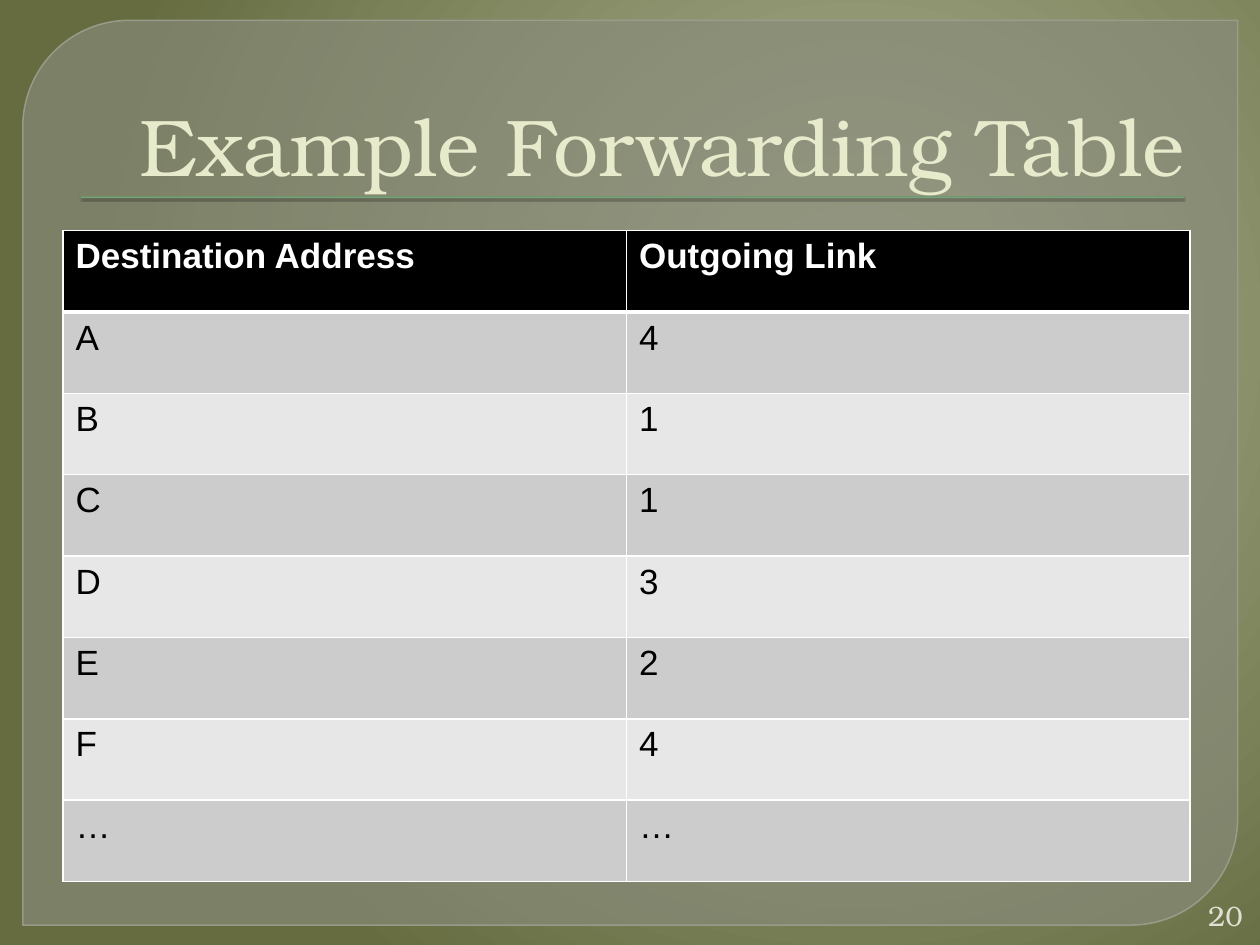
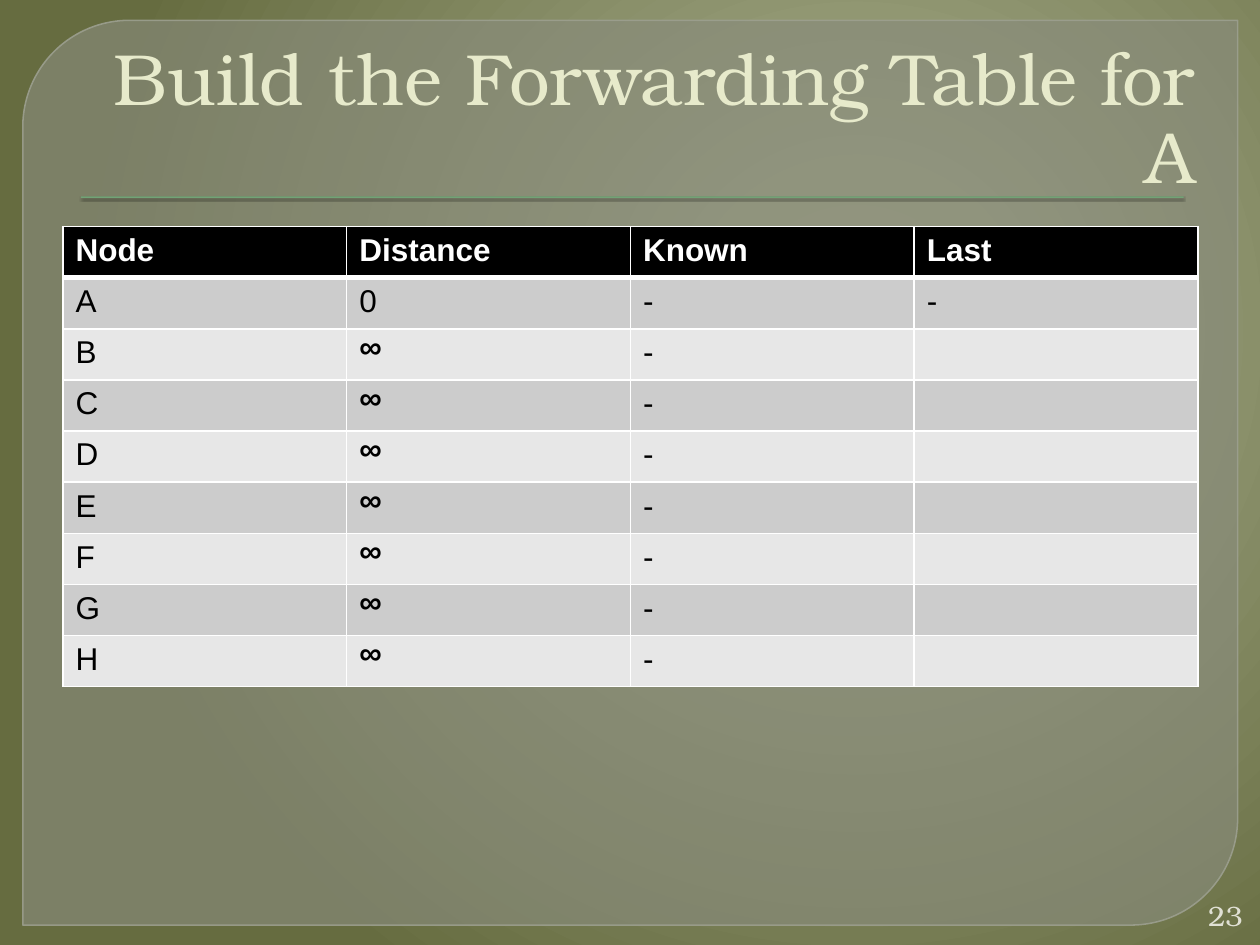
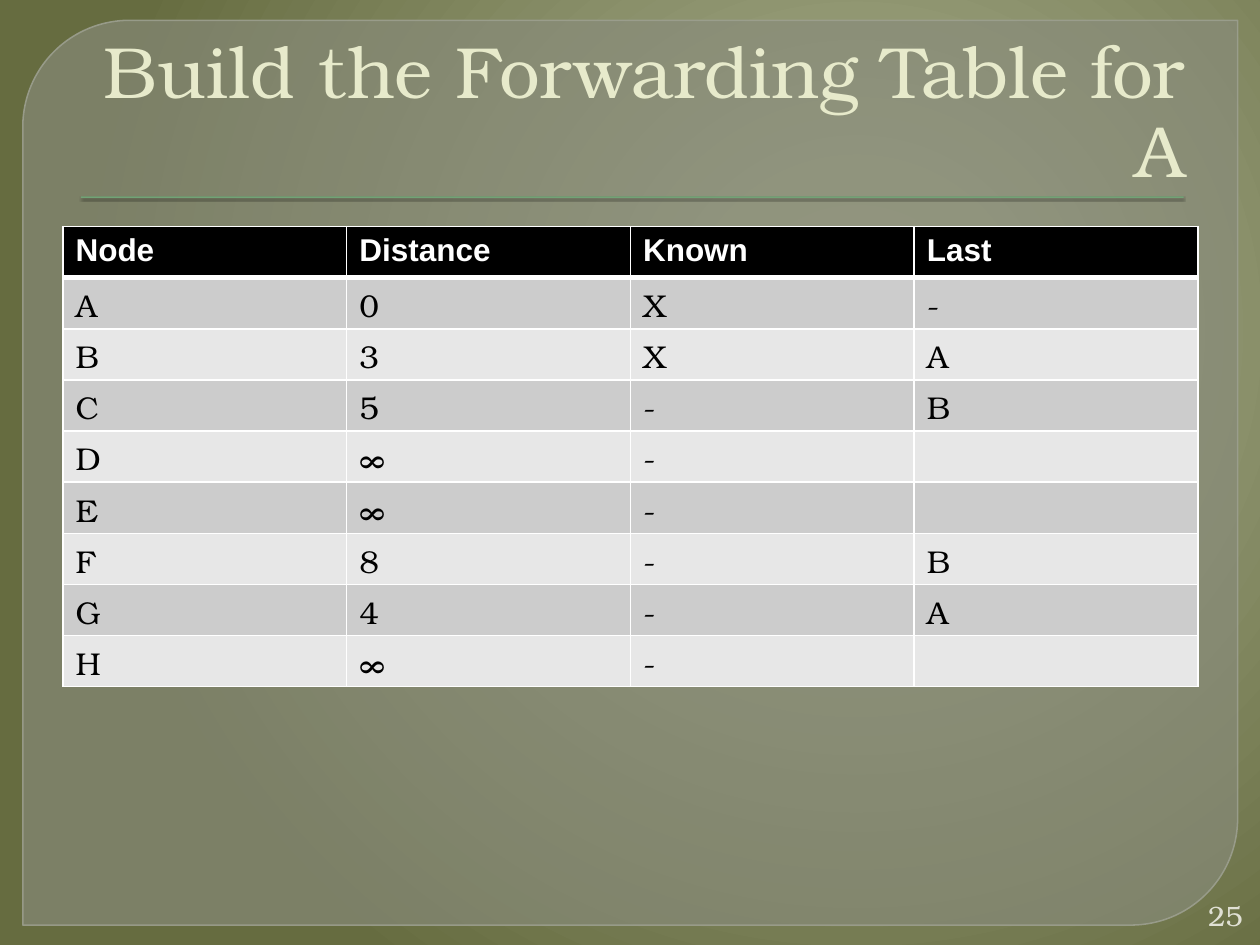
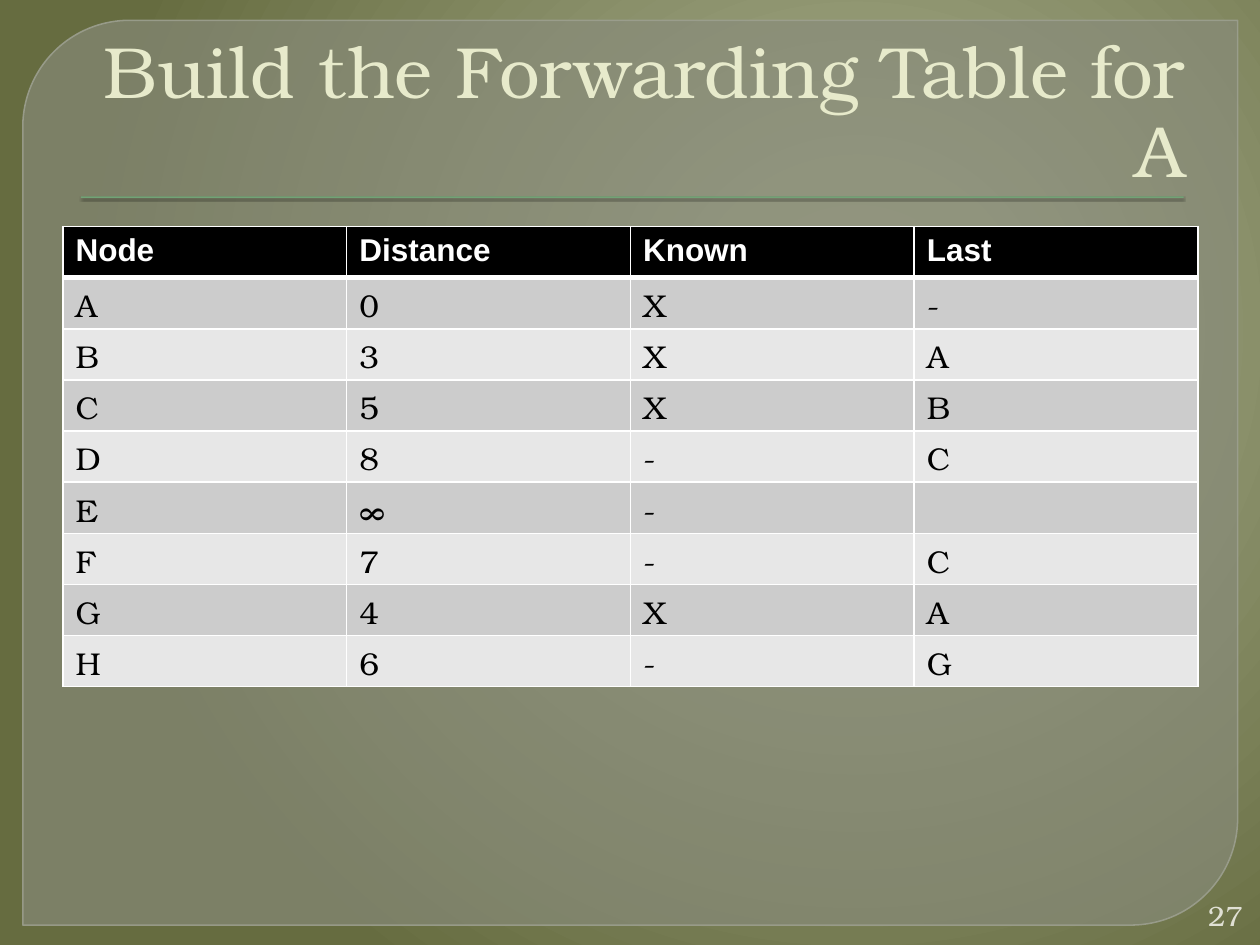
from lxml import etree
from pptx import Presentation
from pptx.dml.color import RGBColor
from pptx.enum import shapes, text
from pptx.oxml import parse_xml
from pptx.oxml.ns import nsdecls, qn
from pptx.util import Cm, Pt

SERIF, SANS, NARROW = "TeX Gyre Bonum", "Arial", "Arial Narrow"
BLACK = RGBColor(0x00, 0x00, 0x00)
WHITE = RGBColor(0xFF, 0xFF, 0xFF)
CREAM = RGBColor(0xE7, 0xEA, 0xCB)
PALE = RGBColor(0xE0, 0xE0, 0xD4)
PANEL = RGBColor(0x88, 0x8B, 0x7B)
EDGE = RGBColor(0x9D, 0xA0, 0x90)
GREEN = RGBColor(0x72, 0xA3, 0x76)
BANDS = [RGBColor(0xE7, 0xE7, 0xE7), RGBColor(0xCC, 0xCC, 0xCC)]
GLOW = [(0, RGBColor(0xA9, 0xAE, 0x8D)), (20, RGBColor(0x9F, 0xA5, 0x83)),
        (100, RGBColor(0x66, 0x6C, 0x40))]

BUILD = "Build the Forwarding Table for A"
HEADS = ["Node", "Distance", "Known", "Last"]
LINKS = dict(num="20", title="Example Forwarding Table", size=46, gap=1, left=1.27, top=0.71,
             body=SANS, font=20, place=(1.27, 4.65), wide=11.36, high=1.64,
             heads=["Destination Address", "Outgoing Link"],
             rows=["A 4", "B 1", "C 1", "D 3", "E 2", "F 4", "… …"])
STEP = dict(title=BUILD, size=41.4, gap=0.9, left=1.27, top=0.71, body=SERIF, font=18,
            place=(1.27, 4.57), wide=5.72, high=1.03, heads=HEADS)
PAGES = [
    LINKS,
    STEP | dict(num="23", left=1.47, top=0.84, body=SANS,
                rows=["A 0 - -"] + [f"{node} ∞ -" for node in "BCDEFGH"]),
    STEP | dict(num="25", rows=["A 0 X -", "B 3 X A", "C 5 - B", "D ∞ -",
                                "E ∞ -", "F 8 - B", "G 4 - A", "H ∞ -"]),
    STEP | dict(num="27", rows=["A 0 X -", "B 3 X A", "C 5 X B", "D 8 - C",
                                "E ∞ -", "F 7 - C", "G 4 X A", "H 6 - G"]),
]


def style(para, name, size, color, bold=False):
    font = para.font
    font.name, font.size, font.bold = name, Pt(size), bold
    font.color.rgb = color


def label(slide, words, box, size, color, anchor):
    frame = slide.shapes.add_textbox(*map(Cm, box)).text_frame
    frame.word_wrap = True
    frame.vertical_anchor = anchor
    frame.margin_bottom = 0 if anchor == text.MSO_ANCHOR.BOTTOM else Cm(0.13)
    para = frame.paragraphs[0]
    para.text = words
    para.alignment = text.PP_ALIGN.RIGHT
    style(para, SERIF, size, color)
    return para


deck = Presentation()
deck.slide_width, deck.slide_height = Cm(25.4), Cm(19.05)

master = deck.slide_master
master.background.fill.solid()
back = master.element.find(".//" + qn("p:bgPr"))
stops = "".join(f'<a:gs pos="{pos * 1000}"><a:srgbClr val="{color}"/></a:gs>' for pos, color in GLOW)
back.replace(back[0], parse_xml(
    f'<a:gradFill {nsdecls("a")} rotWithShape="1"><a:gsLst>{stops}</a:gsLst><a:path path="circle">'
    '<a:fillToRect l="68000" t="35000" r="32000" b="65000"/></a:path></a:gradFill>'))

for page in PAGES:
    slide = deck.slides.add_slide(deck.slide_layouts[6])

    panel = slide.shapes.add_shape(shapes.MSO_SHAPE.ROUND_2_DIAG_RECTANGLE,
                                   Cm(0.46), Cm(0.41), Cm(24.49), Cm(18.24))
    panel.adjustments[0], panel.adjustments[1] = 0.118, 0
    panel.shadow.inherit = False
    panel.fill.solid()
    panel.fill.fore_color.rgb = PANEL
    panel.line.color.rgb = EDGE
    panel.line.width = Pt(0.87)
    tints = panel.element.spPr.iter(qn("a:srgbClr"))
    for tint, alpha in zip(tints, ("65000", "88000")):
        etree.SubElement(tint, qn("a:alpha"), val=alpha)

    rule = slide.shapes.add_shape(shapes.MSO_SHAPE.RECTANGLE, Cm(1.63), Cm(3.96), Cm(22.23), Cm(0.03))
    rule.fill.solid()
    rule.fill.fore_color.rgb = GREEN
    rule.line.fill.background()
    rule.shadow.inherit = False
    rule.element.spPr.find(qn("a:effectLst")).append(parse_xml(
        f'<a:outerShdw {nsdecls("a")} blurRad="12700" dist="12700" dir="5400000">'
        '<a:srgbClr val="000000"><a:alpha val="75000"/></a:srgbClr></a:outerShdw>'))

    title = label(slide, page["title"], (page["left"], page["top"], 22.86, 3.18),
                  page["size"], CREAM, text.MSO_ANCHOR.BOTTOM)
    title.line_spacing = page["gap"]
    props = title._p.get_or_add_pPr()
    props.set("marL", str(Cm(0.15)))
    props.set("indent", str(-Cm(0.15)))

    heads, high = page["heads"], page["high"]
    rows = [heads] + [row.split() for row in page["rows"]]
    grid = slide.shapes.add_table(len(rows), len(heads), *map(Cm, page["place"]),
                                  Cm(page["wide"] * len(heads)), Cm(high * len(rows))).table
    grid.first_row = grid.horz_banding = False
    for col in grid.columns:
        col.width = Cm(page["wide"])
    for i, row in enumerate(rows):
        grid.rows[i].height = Cm(high)
        for j in range(len(heads)):
            cell = grid.cell(i, j)
            for side in "LRTB":
                thick = 3 if (i, side) in ((0, "B"), (1, "T")) else 1
                cell._tc.get_or_add_tcPr().append(parse_xml(
                    f'<a:ln{side} {nsdecls("a")} w="{Pt(thick)}"><a:solidFill>'
                    f'<a:srgbClr val="{WHITE}"/></a:solidFill></a:ln{side}>'))
            cell.fill.solid()
            cell.fill.fore_color.rgb = BANDS[i % 2] if i else BLACK
            para = cell.text_frame.paragraphs[0]
            if j >= len(row):
                end = etree.SubElement(para._p, qn("a:endParaRPr"), sz=str(page["font"] * 100))
                etree.SubElement(end, qn("a:latin"), typeface=SERIF)
                continue
            para.text = row[j]
            slim = row[j] == "∞" and page["body"] == SANS
            name = NARROW if slim else page["body"] if i else SANS
            style(para, name, page["font"], BLACK if i else WHITE, slim or i == 0)

    label(slide, page["num"], (24, 18.08, 1.3, 0.76), 16, PALE, text.MSO_ANCHOR.MIDDLE)

deck.save("out.pptx")
